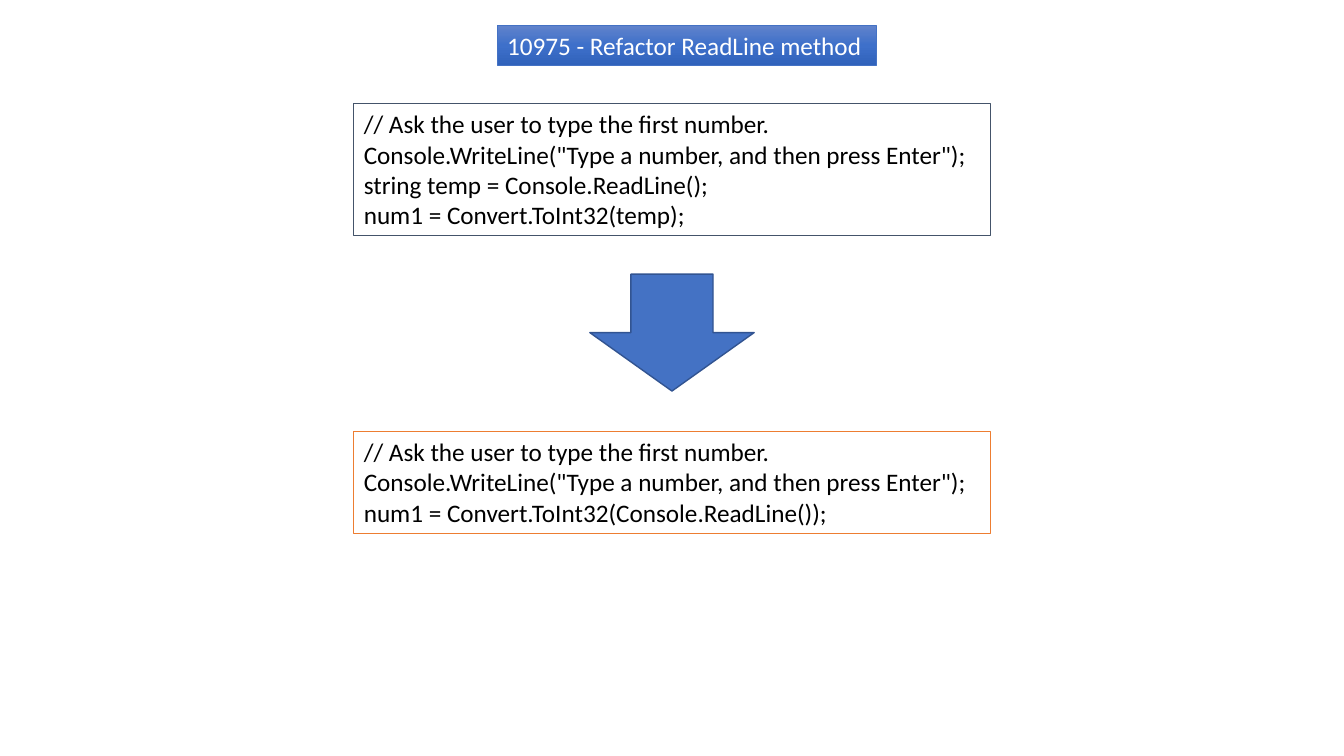
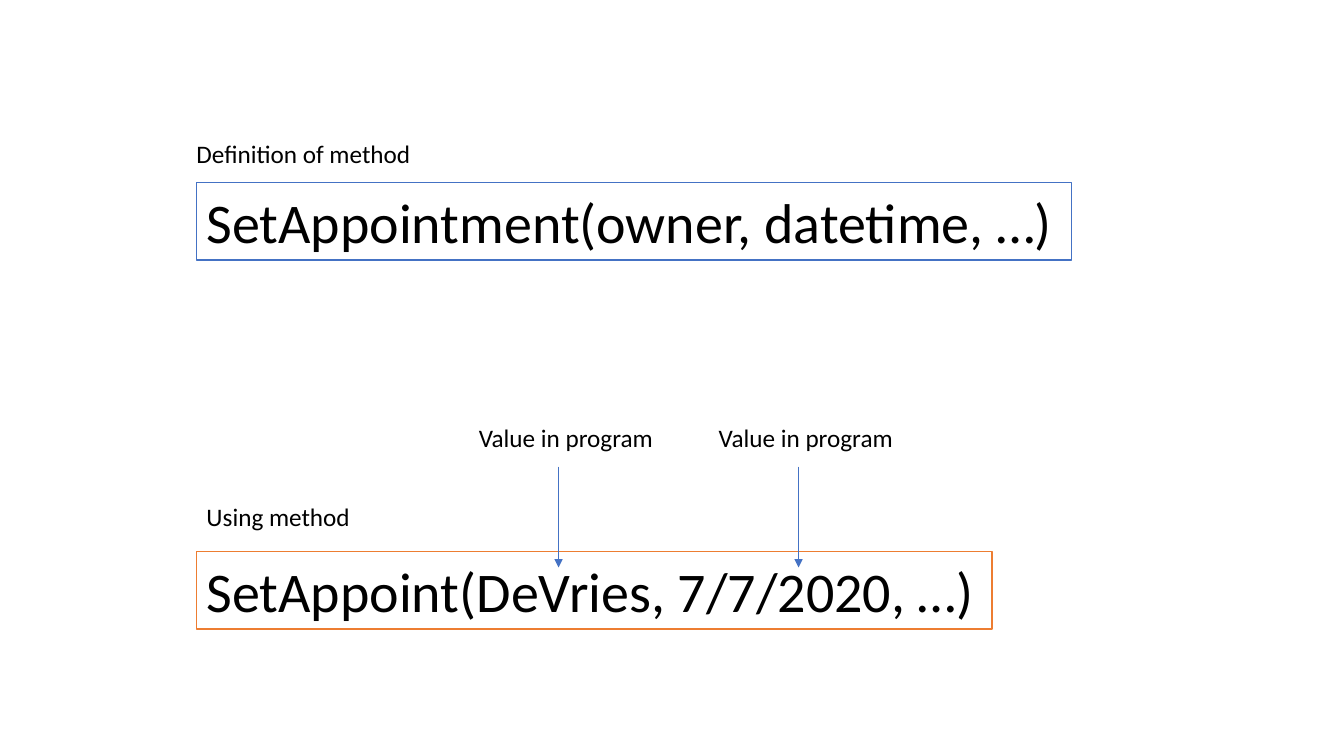
from copy import deepcopy

from lxml.etree import SubElement
from pptx import Presentation
from pptx.dml.color import RGBColor
from pptx.enum.shapes import MSO_CONNECTOR, MSO_SHAPE
from pptx.enum.text import MSO_ANCHOR, MSO_AUTO_SIZE, PP_ALIGN
from pptx.oxml.ns import qn
from pptx.util import Inches, Pt

FONT = "Calibri"
BLACK = RGBColor(0x00, 0x00, 0x00)
WHITE = RGBColor(0xFF, 0xFF, 0xFF)
BLUE = RGBColor(0x44, 0x72, 0xC4)
DARK_BLUE = RGBColor(0x32, 0x54, 0x91)
SLATE = RGBColor(0x44, 0x54, 0x6A)
ORANGE = RGBColor(0xED, 0x7D, 0x31)
TITLE_GRADIENT = [
    (0, RGBColor(0x61, 0x83, 0xCB)),
    (0.5, RGBColor(0x3E, 0x70, 0xCA)),
    (1, RGBColor(0x30, 0x62, 0xBB)),
]


def write(sp, text, size=18, color=BLACK, fill=None, line=None, line_width=1):
    tf = sp.text_frame
    tf.text = text
    tf.word_wrap = False
    tf.auto_size = MSO_AUTO_SIZE.NONE
    tf.vertical_anchor = MSO_ANCHOR.TOP
    for p in tf.paragraphs:
        p.alignment = PP_ALIGN.LEFT
        p.font.name = FONT
        p.font.size = Pt(size)
        p.font.color.rgb = color
    if fill is not None:
        sp.fill.solid()
        sp.fill.fore_color.rgb = fill
    if line is not None:
        sp.line.color.rgb = line
        sp.line.width = Pt(line_width)


def add_text(s, x, y, w, h, text, **style):
    sp = s.shapes.add_textbox(Inches(x), Inches(y), Inches(w), Inches(h))
    write(sp, text, **style)


prs = Presentation()
prs.slide_width = Inches(13.33)
prs.slide_height = Inches(7.5)

s = prs.slides.add_slide(prs.slide_layouts[5])
title = s.shapes.title
title.left, title.top = Inches(4.93), Inches(0.25)
title.width, title.height = Inches(3.76), Inches(0.4)
write(title, "10975 - Refactor ReadLine method", color=WHITE, line=BLUE, line_width=0.5)
title.fill.gradient()
title.fill.gradient_angle = 270
first_stop = next(title._element.spPr.iter(qn("a:gs")))
first_stop.addnext(deepcopy(first_stop))
for stop, (position, color) in zip(title.fill.gradient_stops, TITLE_GRADIENT):
    stop.position = position
    stop.color.rgb = color

PROMPT = '''// Ask the user to type the first number.
Console.WriteLine("Type a number, and then press Enter");
'''
BEFORE = PROMPT + "string temp = Console.ReadLine();\nnum1 = Convert.ToInt32(temp);"
AFTER = PROMPT + "num1 = Convert.ToInt32(Console.ReadLine());"
for y, h, code, line in [(1.03, 1.31, BEFORE, SLATE), (4.28, 1.01, AFTER, ORANGE)]:
    add_text(s, 3.51, y, 6.31, h, code, line=line, line_width=0.75)

arrow = s.shapes.add_shape(
    MSO_SHAPE.DOWN_ARROW, Inches(5.85), Inches(2.72), Inches(1.63), Inches(1.16))
arrow.shadow.inherit = False
arrow.fill.solid()
arrow.fill.fore_color.rgb = BLUE
arrow.line.color.rgb = DARK_BLUE
arrow.line.width = Pt(1)

s = prs.slides.add_slide(prs.slide_layouts[6])
add_text(s, 1.85, 1.32, 2.35, 0.4, "Definition of method")
add_text(s, 1.95, 4.92, 1.64, 0.4, "Using method")
for y, w, call, line in [
    (1.81, 8.68, "SetAppointment(owner, datetime, …)", BLUE),
    (5.47, 7.89, "SetAppoint(DeVries, 7/7/2020, …)", ORANGE),
]:
    add_text(s, 1.95, y, w, 0.77, call, size=40, fill=WHITE, line=line)

for x in (4.65, 7.03):
    add_text(s, x, 4.14, 1.95, 0.4, "Value in program")
    arrow_x = Inches(x + 0.89)
    c = s.shapes.add_connector(
        MSO_CONNECTOR.STRAIGHT, arrow_x, Inches(4.63), arrow_x, Inches(5.63))
    c.line.color.rgb = BLUE
    c.line.width = Pt(0.5)
    SubElement(c.line._get_or_add_ln(), qn("a:tailEnd"), type="triangle")
    SubElement(c._element.spPr, qn("a:effectLst"))

prs.save("out.pptx")
